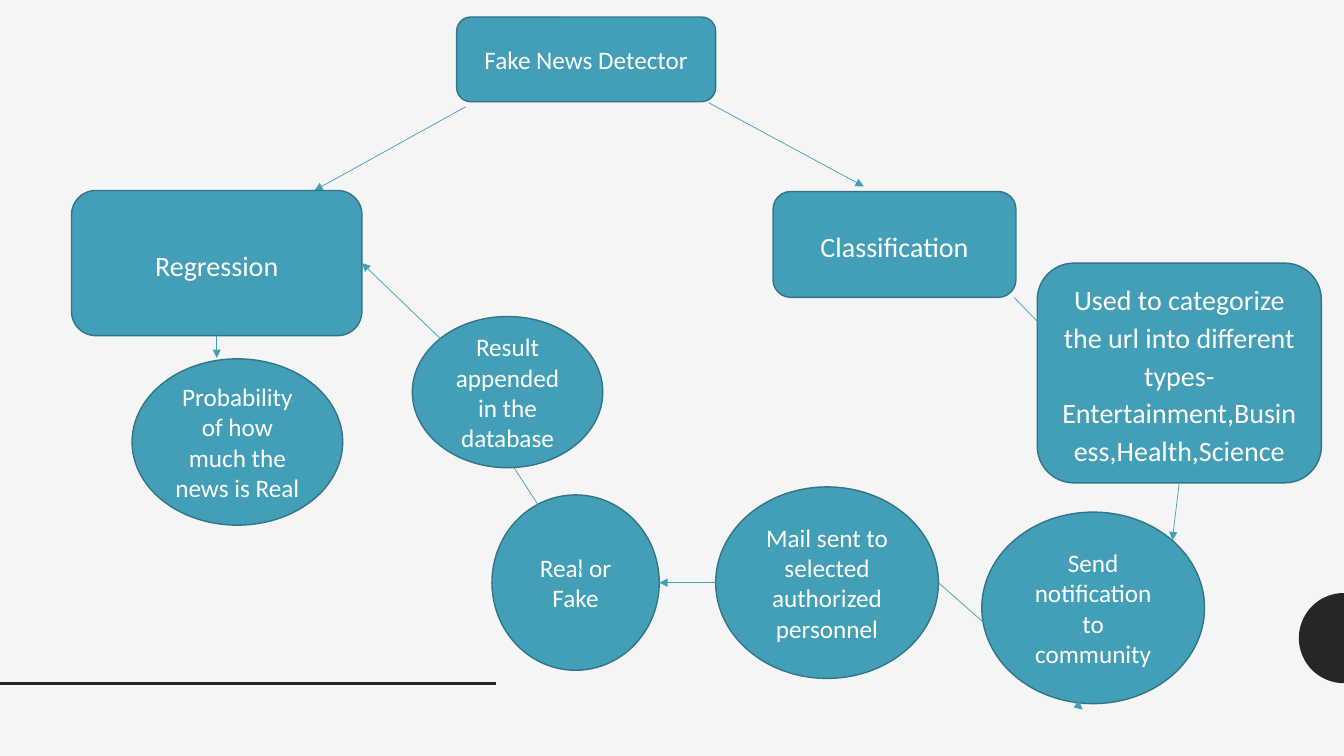
from math import cos, pi, sin
from lxml.etree import SubElement
from pptx import Presentation
from pptx.dml.color import RGBColor
from pptx.enum.shapes import MSO_CONNECTOR, MSO_SHAPE
from pptx.enum.text import MSO_ANCHOR, PP_ALIGN
from pptx.oxml.ns import qn
from pptx.util import Pt

PALE = RGBColor(0xF5, 0xF5, 0xF5)
DARK = RGBColor(0x26, 0x26, 0x26)
TEAL = RGBColor(0x43, 0x9E, 0xB7)
EDGE = RGBColor(0x32, 0x75, 0x87)
WHITE = RGBColor(0xFF, 0xFF, 0xFF)

WIDTH, HEIGHT = 960, 540
ROUNDED, OVAL = MSO_SHAPE.ROUNDED_RECTANGLE, MSO_SHAPE.OVAL

CENTERED = {"alignment": PP_ALIGN.CENTER}
SMALL = {"font": {"size": Pt(18)}, "paragraph": CENTERED}
LARGE = {
    "font": {"size": Pt(20)},
    "paragraph": {**CENTERED, "line_spacing": 1.12, "space_before": Pt(9)},
}
LABEL_FONT = {"name": "Calibri"}

FLOW = [
    ("node", ROUNDED, "Fake News Detector", (326.2, 12.2, 185, 60.5), SMALL),
    ("arrow", (332.6, 76.3), (224.6, 136.1)),
    ("node", ROUNDED, "Regression", (51.1, 136.1, 207.4, 103.7), LARGE),
    ("node", ROUNDED, "Classification", (552.2, 136.8, 173.5, 75.6), LARGE),
    ("arrow", (506.2, 73.4), (617, 133.2)),
    ("node", OVAL, "Mail sent to selected authorized personnel",
     (511.2, 347.8, 159.1, 136.8), SMALL),
    ("node", ROUNDED,
     "Used to categorize the url into different types-"
     "Entertainment,Business,Health,Science",
     (740.9, 187.9, 203, 157), LARGE),
    ("node", OVAL, "Send notification to community",
     (701.3, 365.8, 159.1, 136.8), SMALL),
    ("arrow", (724.3, 212.4), (771.8, 261.4)),
    ("node", OVAL, "Real or Fake", (351.4, 353.5, 119.5, 125.3), SMALL),
    ("arrow", (511.2, 416.2), (470.9, 416.2)),
    ("arrow", (154.8, 239.8), (154.8, 255.6)),
    ("node", OVAL, "Probability of how much the news is Real",
     (94.3, 256.3, 150.5, 118.8), SMALL),
    ("arrow", (355, 315.4), (440.6, 447.1)),
    ("node", OVAL, "Result appended in the database",
     (294.5, 226.1, 136.1, 108), SMALL),
    ("arrow", (314.6, 241.9), (258.5, 187.9)),
    ("arrow", (670.3, 416.2), (773.3, 506.9)),
    ("arrow", (842.4, 344.2), (837.4, 385.9)),
]


def apply(target, values):
    for name, value in values.items():
        setattr(target, name, value)


def paint(shape, color):
    shape.shadow.inherit = False
    shape.fill.solid()
    shape.fill.fore_color.rgb = color


def add_line(start, end, color, width):
    line = page.shapes.add_connector(
        MSO_CONNECTOR.STRAIGHT, *map(Pt, start + end))
    line.line.color.rgb = color
    line.line.width = Pt(width)
    SubElement(line._element.spPr, qn("a:effectLst"))
    return line


def add_arrow(start, end):
    arrow = add_line(start, end, TEAL, 0.5)
    SubElement(arrow.line._get_or_add_ln(), qn("a:tailEnd"), type="triangle")


def add_node(kind, text, place, style):
    node = page.shapes.add_shape(kind, *map(Pt, place))
    paint(node, TEAL)
    node.line.color.rgb = EDGE
    node.line.width = Pt(1)
    apply(node.text_frame, {"word_wrap": True, "vertical_anchor": MSO_ANCHOR.MIDDLE})
    para = node.text_frame.paragraphs[0]
    apply(para, style["paragraph"])
    span = para.add_run()
    span.text = text
    apply(span.font, {**LABEL_FONT, **style["font"]})
    span.font.color.rgb = WHITE


def add_half_disc(center_x, center_y, radius, steps=48):
    angles = [pi / 2 + pi * step / steps for step in range(steps + 1)]
    points = [(Pt(center_x + radius * cos(angle)), Pt(center_y + radius * sin(angle)))
              for angle in angles]
    builder = page.shapes.build_freeform(*points[0])
    builder.add_line_segments(points[1:], close=True)
    disc = builder.convert_to_shape()
    paint(disc, DARK)
    disc.line.fill.background()


deck = Presentation()
apply(deck, {"slide_width": Pt(WIDTH), "slide_height": Pt(HEIGHT)})
page = deck.slides.add_slide(deck.slide_layouts[6])
page.background.fill.solid()
page.background.fill.fore_color.rgb = PALE

add_half_disc(WIDTH, 455.8, 32.2)
add_line((0, 488.2), (354.2, 488.2), DARK, 2)

builders = {"node": add_node, "arrow": add_arrow}
for kind, *details in FLOW:
    builders[kind](*details)

deck.save("out.pptx")
